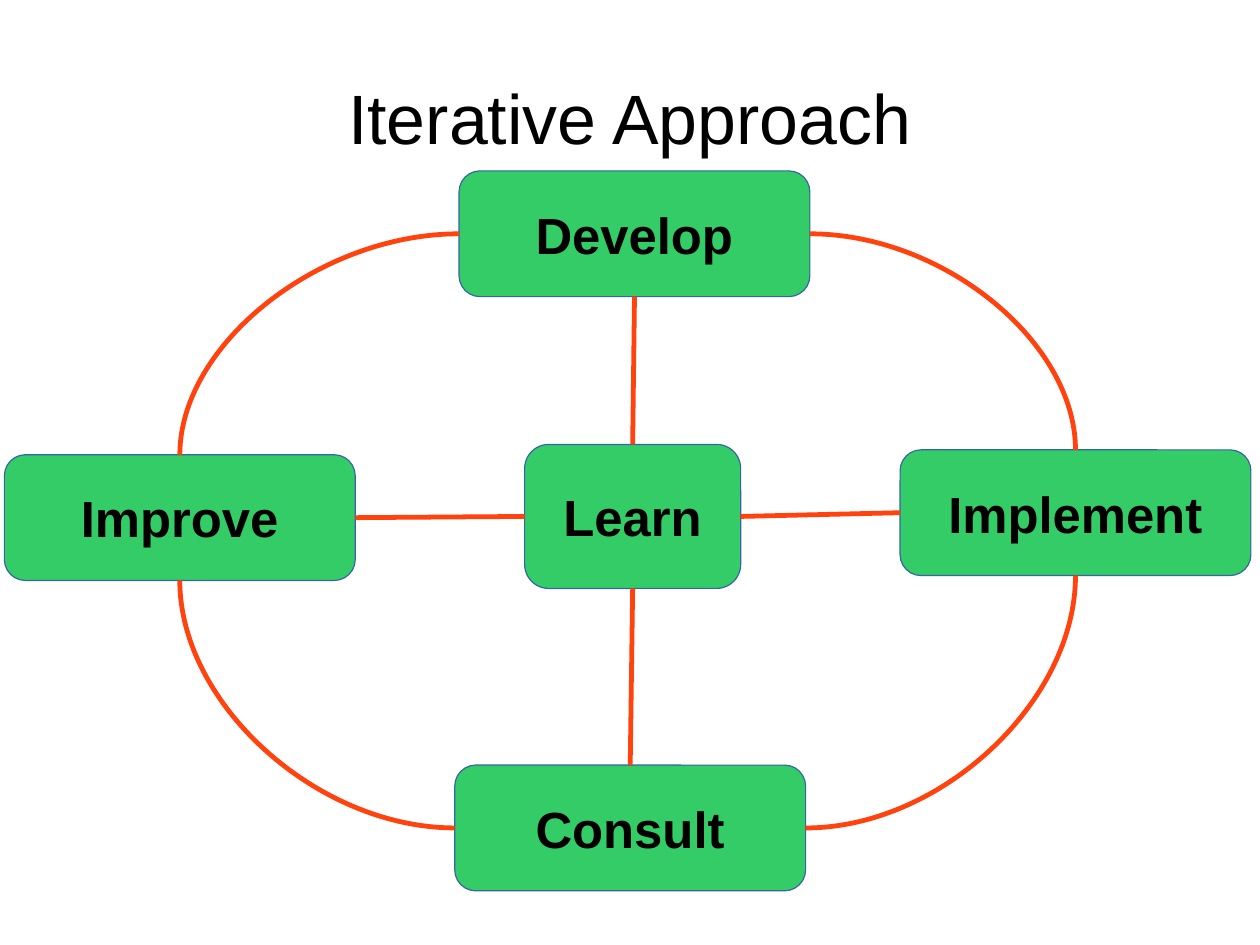
from lxml.etree import SubElement
from pptx import Presentation
from pptx.dml.color import RGBColor
from pptx.enum.shapes import MSO_CONNECTOR, MSO_SHAPE
from pptx.enum.text import MSO_ANCHOR, PP_ALIGN
from pptx.oxml.ns import qn
from pptx.util import Pt

COLORS = {"text": "000000", "box": "33CC66", "outline": "3465A4", "link": "FF420E"}
TOP, LEFT, BOTTOM, RIGHT = range(4)


class Diagram:
    """Holds the style and the current slide."""

    font_name = "Arial"

    def __init__(self, deck):
        self.page = deck.slides.add_slide(deck.slide_layouts[5])

    def color(self, name):
        return RGBColor.from_string(COLORS[name])

    def label(self, frame, text, size, bold):
        frame.text = text
        frame.vertical_anchor = MSO_ANCHOR.MIDDLE
        para = frame.paragraphs[0]
        para.alignment = PP_ALIGN.CENTER
        para.font.name = self.font_name
        para.font.size = Pt(size)
        para.font.bold = bold
        para.font.color.rgb = self.color("text")

    def title(self, text, left, top, width, height):
        title = self.page.shapes.title
        title.left, title.top = Pt(left), Pt(top)
        title.width, title.height = Pt(width), Pt(height)
        frame = title.text_frame
        frame.margin_left = frame.margin_right = Pt(0)
        frame.margin_top = frame.margin_bottom = Pt(0)
        self.label(frame, text, 44, False)

    def box(self, text, left, top, width=221, height=79.2):
        box = self.page.shapes.add_shape(
            MSO_SHAPE.ROUNDED_RECTANGLE, Pt(left), Pt(top), Pt(width), Pt(height))
        box.shadow.inherit = False
        box.fill.solid()
        box.fill.fore_color.rgb = self.color("box")
        box.line.color.rgb = self.color("outline")
        box.line.width = Pt(0)
        box.text_frame.word_wrap = False
        self.label(box.text_frame, text, 32, True)
        return box

    def link(self, start, start_side, end, end_side, kind=MSO_CONNECTOR.STRAIGHT):
        link = self.page.shapes.add_connector(kind, Pt(0), Pt(0), Pt(0), Pt(0))
        link.begin_connect(start, start_side)
        link.end_connect(end, end_side)
        link.line.color.rgb = self.color("link")
        link.line.width = Pt(3)
        SubElement(link._element.spPr, qn("a:effectLst"))
        return link

    def curve(self, start, start_side, end, end_side):
        link = self.link(start, start_side, end, end_side, MSO_CONNECTOR.CURVE)
        # A quarter turn, leaving sideways and arriving upright
        link._element.spPr.find(qn("a:prstGeom")).set("prst", "curvedConnector2")


def main():
    deck = Presentation()
    deck.slide_width, deck.slide_height = Pt(793.7), Pt(595.3)
    diagram = Diagram(deck)

    # Title
    diagram.title("Iterative Approach", 39.7, 23.7, 714.3, 99.4)

    # Steps around the centre
    develop = diagram.box("Develop", 289.2, 107.7)
    implement = diagram.box("Implement", 567, 283.4)
    consult = diagram.box("Consult", 286.5, 482)
    improve = diagram.box("Improve", 2.8, 286.5)
    learn = diagram.box("Learn", 330.5, 280, 136.1, 90.7)

    # Outer cycle
    for start, end_side in ((develop, TOP), (consult, BOTTOM)):
        diagram.curve(start, LEFT, improve, end_side)
        diagram.curve(start, RIGHT, implement, end_side)

    # Spokes
    spokes = ((TOP, develop, BOTTOM), (BOTTOM, consult, TOP),
              (RIGHT, implement, LEFT), (LEFT, improve, RIGHT))
    for learn_side, step, step_side in spokes:
        diagram.link(learn, learn_side, step, step_side)

    deck.save("out.pptx")


if __name__ == "__main__":
    main()
